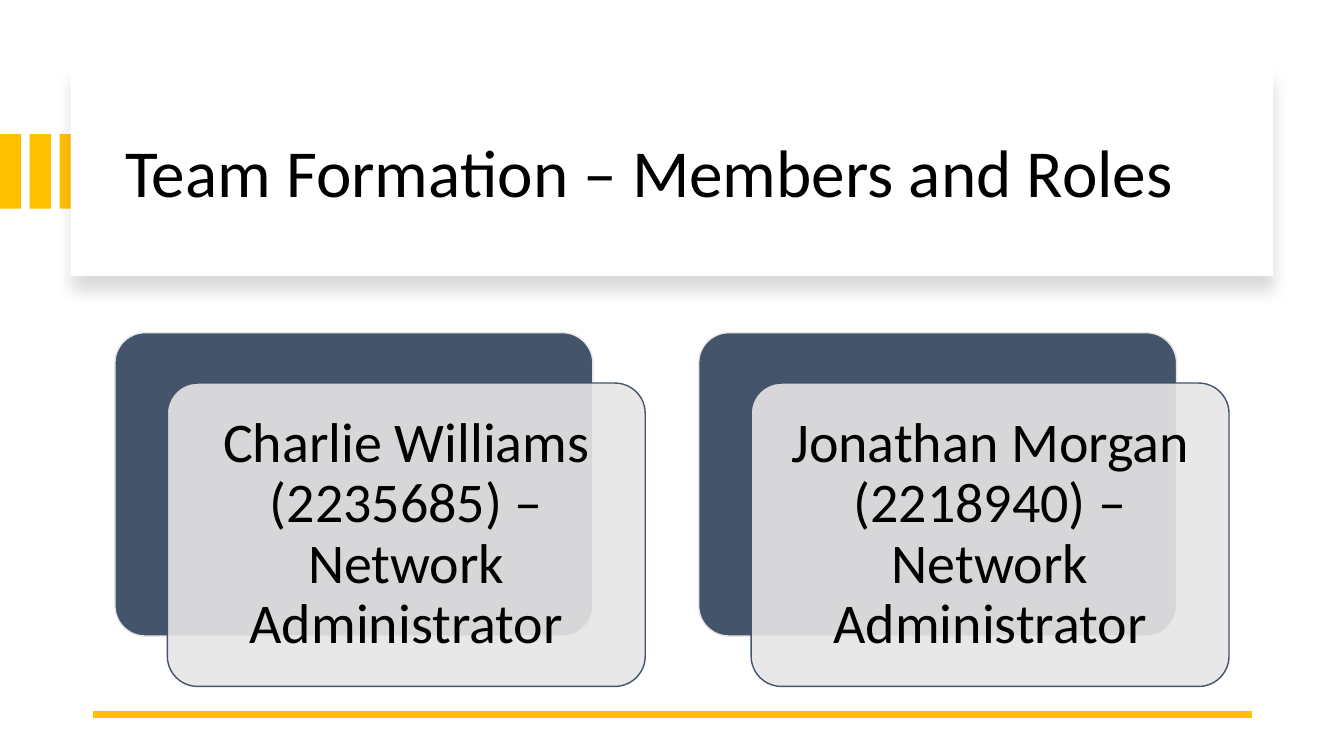
import pptx
import pptx.util
import pptx.dml.color
import pptx.enum.shapes
import pptx.enum.text
import pptx.oxml
import pptx.oxml.ns
from dataclasses import dataclass
from lxml import etree

Inches = pptx.util.Inches
Pt = pptx.util.Pt
SHAPE = pptx.enum.shapes.MSO_SHAPE
ALIGN = pptx.enum.text.PP_ALIGN
MIDDLE = pptx.enum.text.MSO_ANCHOR.MIDDLE
qn = pptx.oxml.ns.qn


@dataclass(frozen=True)
class Theme:
    font: str = "Calibri"
    title_size: int = 48
    card_size: int = 40
    text: str = "000000"
    panel: str = "FFFFFF"
    accent: str = "FFC000"
    dark: str = "44546A"
    light: str = "E7E6E6"


class SlideBuilder:
    def __init__(self, slide, theme):
        self.s = slide
        self.theme = theme

    def rgb(self, color):
        return pptx.dml.color.RGBColor.from_string(color)

    def box(self, kind, x, y, w, h, fill, line=None):
        sp = self.s.shapes.add_shape(kind, Inches(x), Inches(y), Inches(w), Inches(h))
        sp.shadow.inherit = False
        sp.fill.solid()
        sp.fill.fore_color.rgb = self.rgb(fill)
        if line:
            sp.line.color.rgb = self.rgb(line)
            sp.line.width = Pt(1)
        else:
            sp.line.fill.background()
        return sp

    def set_text(self, sp, text, size, align):
        tf = sp.text_frame
        tf.text = text
        tf.word_wrap = True
        tf.auto_size = pptx.enum.text.MSO_AUTO_SIZE.NONE
        tf.vertical_anchor = MIDDLE
        p = tf.paragraphs[0]
        p.alignment = align
        p.line_spacing = 0.9
        font = p.runs[0].font
        font.name = self.theme.font
        font.size = Pt(size)
        font.color.rgb = self.rgb(self.theme.text)
        return tf

    def panel(self, x, y, w, h):
        """Add a plain panel with a soft shadow below it."""
        sp = self.box(SHAPE.RECTANGLE, x, y, w, h, self.theme.panel)
        effects = sp._element.spPr.find(qn("a:effectLst"))
        shadow = etree.SubElement(
            effects, qn("a:outerShdw"), blurRad=str(Pt(11)), dist=str(Pt(10)),
            dir="5400000", algn="t", rotWithShape="0")
        color = etree.SubElement(shadow, qn("a:srgbClr"), val="000000")
        etree.SubElement(color, qn("a:alpha"), val="15000")

    def title(self, text, x, y, w, h):
        """Fill the title placeholder and bring it in front of the panel."""
        sp = self.s.shapes.title
        sp.left, sp.top, sp.width, sp.height = map(Inches, (x, y, w, h))
        self.set_text(sp, text, self.theme.title_size, ALIGN.LEFT)
        self.s.shapes._spTree.append(sp._element)

    def rule(self, x1, x2, y):
        line = self.s.shapes.add_connector(
            pptx.enum.shapes.MSO_CONNECTOR.STRAIGHT,
            Inches(x1), Inches(y), Inches(x2), Inches(y))
        line.line.color.rgb = self.rgb(self.theme.accent)
        line.line.width = Pt(4.5)
        etree.SubElement(line._element.spPr, qn("a:effectLst"))

    def member_card(self, text, x, y, w=4.74, h=3.01):
        """Add a dark card with a translucent text card offset in front."""
        t = self.theme
        back = self.box(SHAPE.ROUNDED_RECTANGLE, x, y, w, h, t.dark, t.light)
        front = self.box(SHAPE.ROUNDED_RECTANGLE, x + 0.52, y + 0.5, w, h, t.light, t.dark)
        for sp in (back, front):
            sp.adjustments[0] = 0.1
        color = front._element.spPr.find(qn("a:solidFill"))[0]
        etree.SubElement(color, qn("a:alpha"), val="90000")
        tf = self.set_text(front, text, t.card_size, ALIGN.CENTER)
        tf.margin_left = tf.margin_right = Inches(0.17)
        tf.margin_top = tf.margin_bottom = Inches(0.17)
        tf.paragraphs[0].space_after = Pt(14)


def main():
    prs = pptx.Presentation()
    prs.slide_width, prs.slide_height = Inches(13.33), Inches(7.5)
    theme = Theme()
    b = SlideBuilder(prs.slides.add_slide(prs.slide_layouts[5]), theme)

    for i in range(3):
        b.box(SHAPE.RECTANGLE, i * 0.295, 1.33, 0.21, 0.74, theme.accent)
    b.panel(0.7, 0.67, 11.93, 2.07)
    b.title("Team Formation – Members and Roles", 1.14, 0.89, 11.13, 1.7)
    b.rule(12.42, 0.92, 7.09)

    members = (
        "Charlie Williams (2235685) – Network Administrator",
        "Jonathan Morgan (2218940) – Network Administrator",
    )
    for i, member in enumerate(members):
        b.member_card(member, 1.14 + i * 5.79, 3.3)

    prs.save("out.pptx")


if __name__ == "__main__":
    main()
